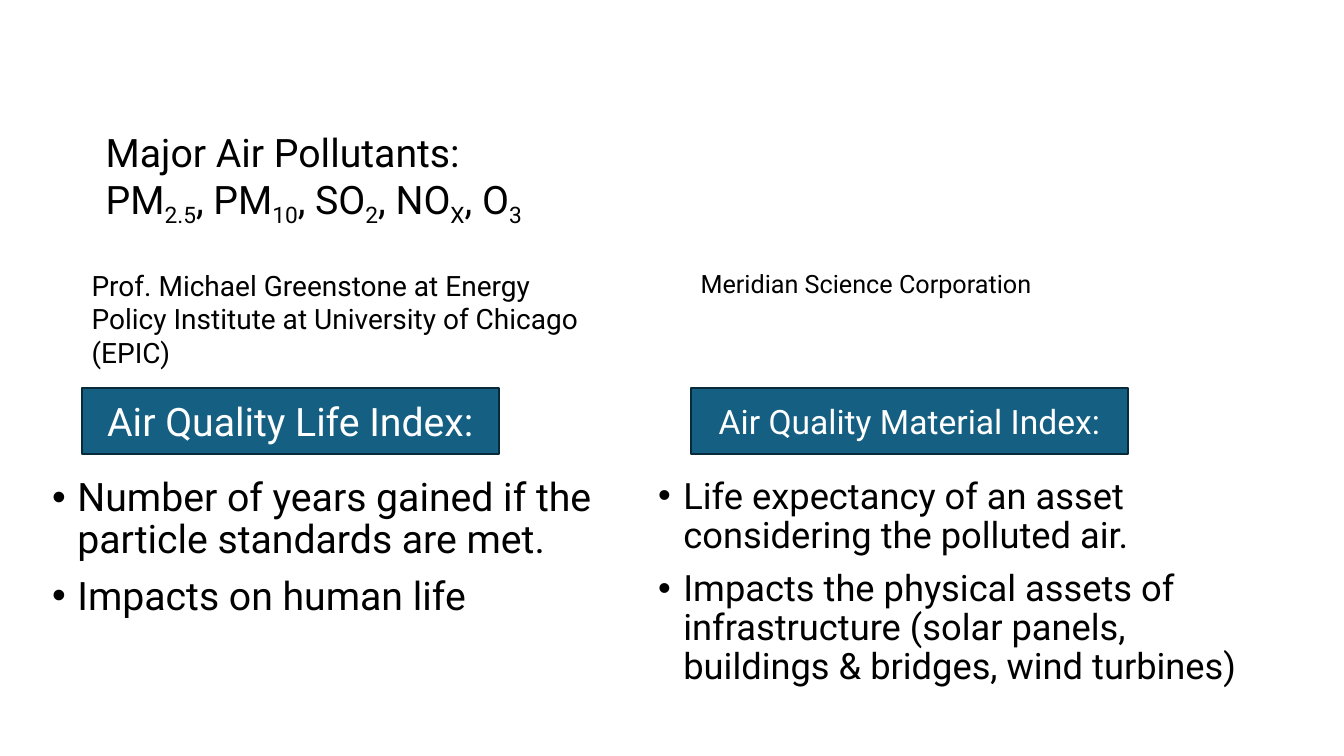
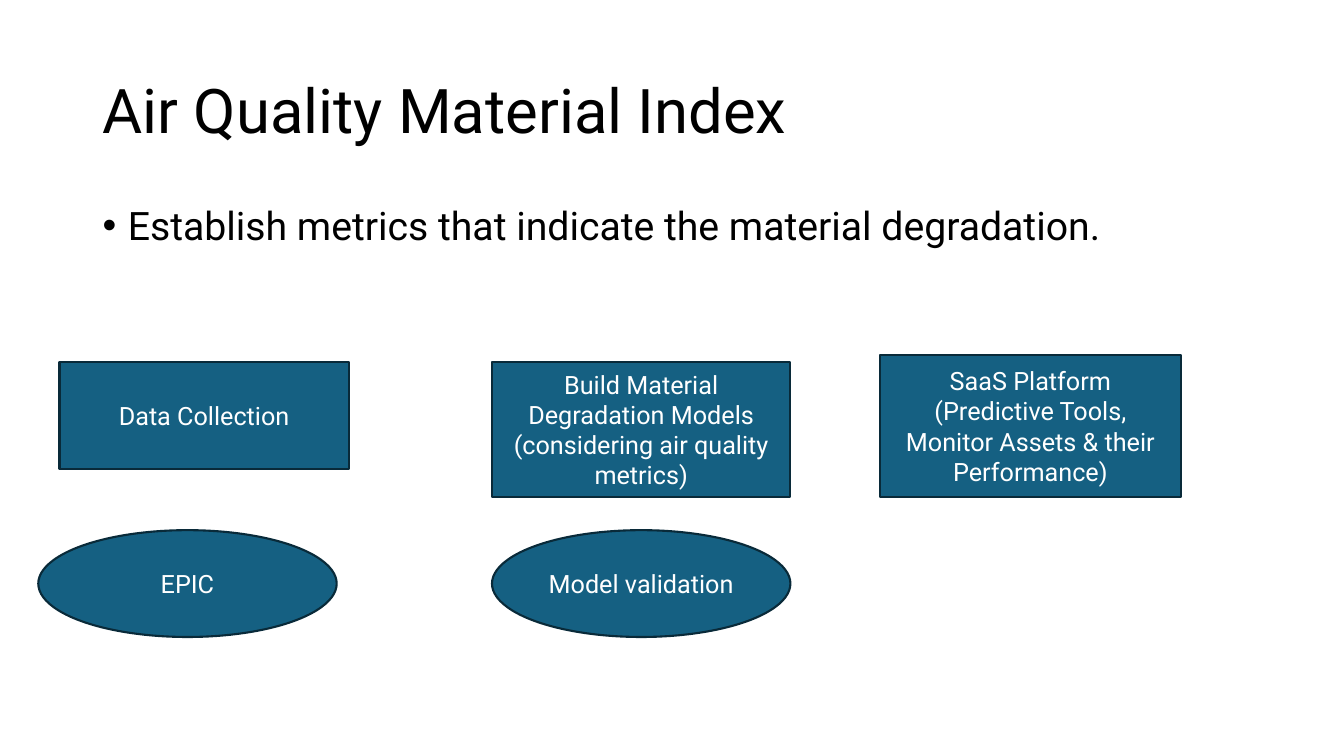
from dataclasses import dataclass

from lxml import etree
from pptx import Presentation
from pptx import util as u
from pptx.dml.color import RGBColor
from pptx.enum import shapes, text
from pptx.oxml import ns


@dataclass(frozen=True)
class Theme:
    font: str = "Roboto"
    ink: RGBColor = RGBColor(0x00, 0x00, 0x00)
    paper: RGBColor = RGBColor(0xFF, 0xFF, 0xFF)
    box_fill: RGBColor = RGBColor(0x15, 0x60, 0x82)
    box_line: RGBColor = RGBColor(0x09, 0x2A, 0x39)
    line_width: float = 1.5
    title: float = 44
    large: float = 28
    medium: float = 24
    body: float = 20
    small: float = 18


THEME = Theme()
RECTANGLE = shapes.MSO_SHAPE.RECTANGLE
OVAL = shapes.MSO_SHAPE.OVAL


def add_bullet(paragraph, indent=0.25):
    properties = paragraph._p.get_or_add_pPr()
    properties.set("marL", str(u.Inches(indent)))
    properties.set("indent", str(-u.Inches(indent)))
    etree.SubElement(properties, ns.qn("a:buFont")).set("typeface", "Arial")
    etree.SubElement(properties, ns.qn("a:buChar")).set("char", "•")


def write(paragraph, content, *, size, color=THEME.ink, align=None, spacing=None, before=None):
    """Write text; a newline breaks the line and |bars| enclose a subscript."""
    paragraph.alignment = align
    if spacing is not None:
        paragraph.line_spacing = spacing
    if before is not None:
        paragraph.space_before = u.Pt(before)
    for line_number, line in enumerate(content.split("\n")):
        if line_number:
            paragraph.add_line_break()
        for position, piece in enumerate(line.split("|")):
            if not piece:
                continue
            run = paragraph.add_run()
            run.text = piece
            run.font.name = THEME.font
            run.font.size = u.Pt(size)
            run.font.color.rgb = color
            if position % 2:
                run._r.get_or_add_rPr().set("baseline", "-25000")


class Deck:
    def __init__(self):
        self.presentation = Presentation()
        self.presentation.slide_width = u.Inches(13.33)
        self.presentation.slide_height = u.Inches(7.5)
        self.slide = None

    def new_slide(self):
        self.slide = self.presentation.slides.add_slide(self.presentation.slide_layouts[6])
        fill = self.slide.background.fill
        fill.solid()
        fill.fore_color.rgb = THEME.paper

    def frame(self, area, anchor=text.MSO_ANCHOR.TOP):
        """Add a wrapping text box and return its text frame."""
        frame = self.slide.shapes.add_textbox(*map(u.Inches, area)).text_frame
        frame.word_wrap = True
        frame.vertical_anchor = anchor
        return frame

    def title(self, content):
        frame = self.frame((0.92, 0.4, 11.5, 1.45), text.MSO_ANCHOR.MIDDLE)
        write(frame.paragraphs[0], content, size=THEME.title, spacing=0.9)

    def label(self, content, area, size):
        write(self.frame(area).paragraphs[0], content, size=size)

    def bullets(self, items, area, size=THEME.large):
        frame = self.frame(area)
        for number, item in enumerate(items):
            paragraph = frame.add_paragraph() if number else frame.paragraphs[0]
            write(paragraph, item, size=size, spacing=0.9, before=10)
            add_bullet(paragraph)

    def box(self, content, area, size=THEME.small, kind=RECTANGLE):
        shape = self.slide.shapes.add_shape(kind, *map(u.Inches, area))
        shape.shadow.inherit = False
        shape.fill.solid()
        shape.fill.fore_color.rgb = THEME.box_fill
        shape.line.color.rgb = THEME.box_line
        shape.line.width = u.Pt(THEME.line_width)
        frame = shape.text_frame
        frame.word_wrap = True
        frame.vertical_anchor = text.MSO_ANCHOR.MIDDLE
        write(frame.paragraphs[0], content, size=size, color=THEME.paper,
              align=text.PP_ALIGN.CENTER)


def index_comparison(deck):
    deck.new_slide()
    deck.label("Major Air Pollutants:\nPM|2.5|, PM|10|, SO|2|, NO|X|, O|3|",
               (0.95, 1.22, 10.79, 1.04), THEME.large)

    left, right, source_top, index_top = 0.81, 6.85, 2.61, 3.85
    deck.label("Prof. Michael Greenstone at Energy Policy Institute at "
               "University of Chicago (EPIC)", (left, source_top, 5.08, 1.11), THEME.body)
    deck.label("Meridian Science Corporation", (right, source_top, 5.08, 0.4), THEME.small)
    deck.box("Air Quality Life Index:", (left, index_top, 4.14, 0.65), THEME.large)
    deck.box("Air Quality Material Index:", (right, index_top, 4.34, 0.65), THEME.medium)

    deck.bullets(["Number of years gained if the particle standards are met.",
                  "Impacts on human life"], (0.42, 4.69, 5.73, 2.07))
    deck.bullets(["Life expectancy of an asset considering the polluted air.",
                  "Impacts the physical assets of infrastructure "
                  "(solar panels, buildings & bridges, wind turbines)"],
                 (6.43, 4.69, 6.1, 2.41), size=25.9)


def material_index(deck):
    deck.new_slide()
    deck.title("Air Quality Material Index")
    deck.bullets(["Establish metrics that indicate the material degradation."],
                 (0.92, 2, 11.5, 0.7))

    model_left, step_top, support_top, width, height = 4.88, 3.59, 5.26, 2.96, 1.06
    deck.box("Data Collection", (0.59, step_top, 2.87, height))
    deck.box("Build Material Degradation Models (considering air quality metrics)",
             (model_left, step_top, width, 1.34))
    deck.box("SaaS Platform (Predictive Tools, Monitor Assets & their Performance)",
             (8.73, 3.52, 2.98, 1.41))
    for content, left in (("EPIC", 0.38), ("Model validation", model_left)):
        deck.box(content, (left, support_top, width, height), kind=OVAL)


def main():
    deck = Deck()
    index_comparison(deck)
    material_index(deck)
    deck.presentation.save("out.pptx")


if __name__ == "__main__":
    main()
